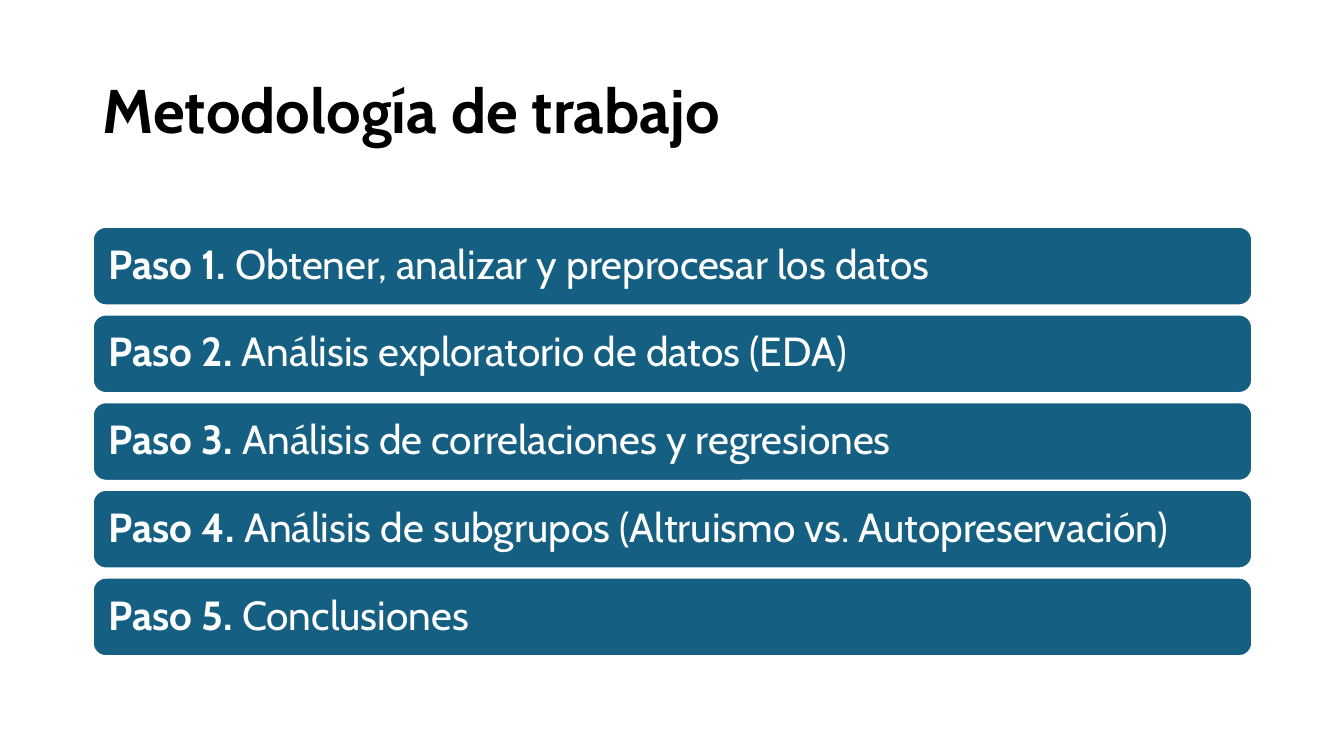
from pptx import Presentation
from pptx.dml.color import RGBColor
from pptx.enum.shapes import MSO_SHAPE as Shape
from pptx.enum.text import MSO_ANCHOR as Anchor, PP_ALIGN as Align
from pptx.util import Inches, Pt

COLORS = {"title": "000000", "bar": "156082", "white": "FFFFFF"}
FONT = "Cabin"
LEFT, WIDTH = 0.92, 11.5
FIRST_TOP, BAR_HEIGHT, BAR_PITCH = 2.25, 0.78, 0.87
STEPS = [
    "Obtener, analizar y preprocesar los datos",
    "Análisis exploratorio de datos (EDA)",
    "Análisis de correlaciones y regresiones",
    "Análisis de subgrupos (Altruismo vs. Autopreservación)",
    "Conclusiones",
]


def color(name):
    return RGBColor.from_string(COLORS[name])


def write_line(box, spans, size, color_name, inset):
    """Fill the box with one left-aligned line of (text, bold) spans."""
    frame = box.text_frame
    frame_format = {
        "word_wrap": True,
        "vertical_anchor": Anchor.MIDDLE,
        "margin_left": Inches(inset),
        "margin_right": Inches(inset),
    }
    for name, value in frame_format.items():
        setattr(frame, name, value)
    para = frame.paragraphs[0]
    para.alignment = Align.LEFT
    para.line_spacing = 0.9
    for text, bold in spans:
        span = para.add_run()
        span.text = text
        for name, value in {"name": FONT, "size": Pt(size), "bold": bold}.items():
            setattr(span.font, name, value)
        span.font.color.rgb = color(color_name)


def add_title(page, text):
    box = page.shapes.add_textbox(
        Inches(LEFT), Inches(0.4), Inches(WIDTH), Inches(1.45))
    write_line(box, [(text, True)], 44, "title", 0.1)


def add_step(page, number, text):
    top = FIRST_TOP + (number - 1) * BAR_PITCH
    bar = page.shapes.add_shape(
        Shape.ROUNDED_RECTANGLE,
        Inches(LEFT), Inches(top), Inches(WIDTH), Inches(BAR_HEIGHT))
    bar.shadow.inherit = False
    bar.fill.solid()
    bar.fill.fore_color.rgb = color("bar")
    bar.line.color.rgb = color("white")
    bar.line.width = Pt(1.5)
    write_line(bar, [(f"Paso {number}. ", True), (text, False)], 29, "white", 0.12)


def main():
    deck = Presentation()
    deck.slide_width = Inches(13.33)
    deck.slide_height = Inches(7.5)
    page = deck.slides.add_slide(deck.slide_layouts[6])
    add_title(page, "Metodología de trabajo")
    for number, text in enumerate(STEPS, start=1):
        add_step(page, number, text)
    deck.save("out.pptx")


if __name__ == "__main__":
    main()
